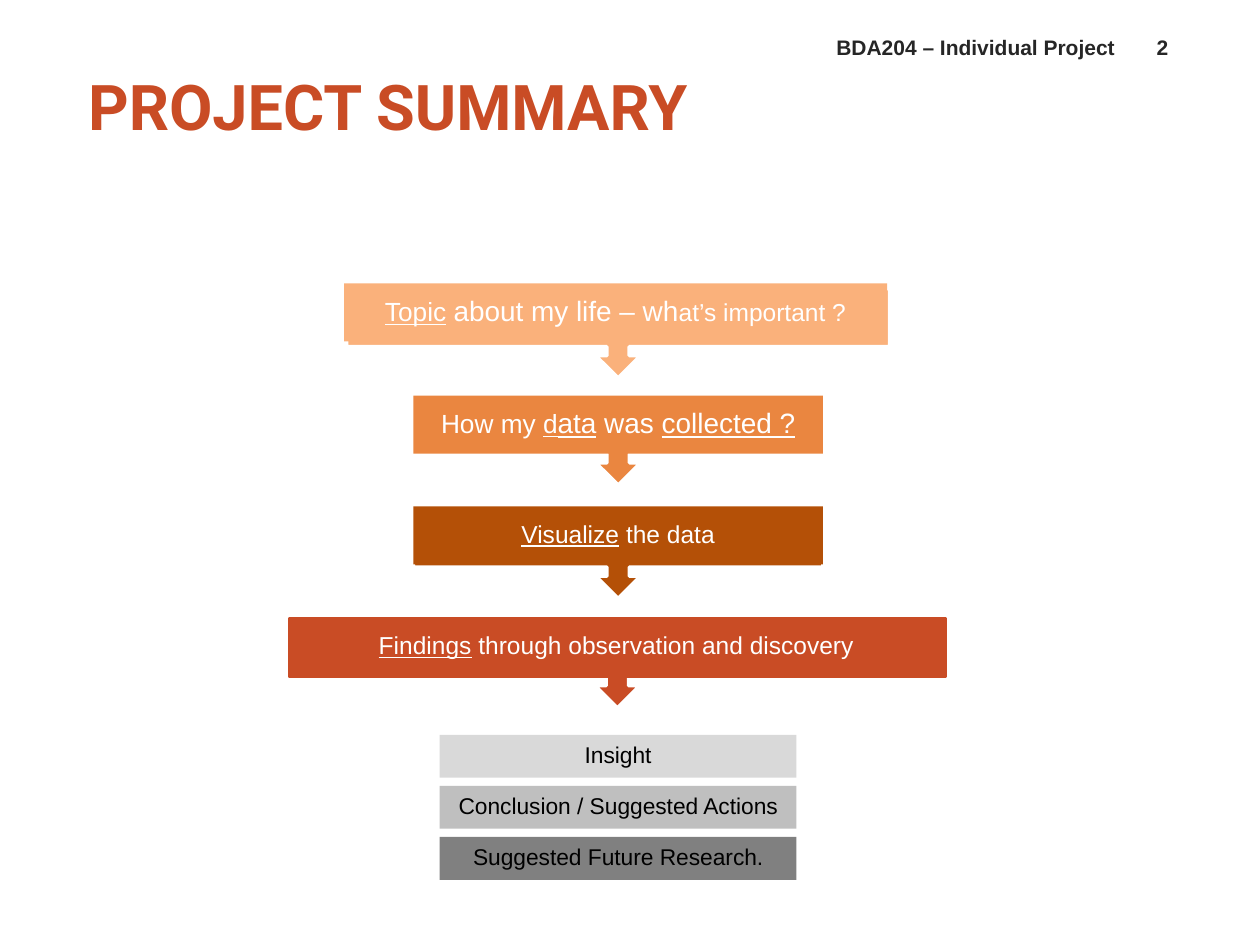
import pptx
import pptx.dml.color
import pptx.enum.shapes
import pptx.enum.text
import pptx.util

Pt = pptx.util.Pt
SHAPE = pptx.enum.shapes.MSO_SHAPE
ALIGN = pptx.enum.text.PP_ALIGN
ANCHOR = pptx.enum.text.MSO_ANCHOR
COLORS = {
    "peach": "FAB17B", "orange": "EA8640", "brown": "B45007", "rust": "C94C25",
    "light": "D9D9D9", "silver": "BFBFBF", "gray": "808080",
    "white": "FFFFFF", "black": "000000", "ink": "262626",
}


def color(name):
    return pptx.dml.color.RGBColor.from_string(COLORS[name])


def write(box, spans, fill="white", font="Arial", bold=False, align=ALIGN.CENTER,
          anchor=ANCHOR.MIDDLE, inset=(7.2, 3.6), spacing=None):
    frame = box.text_frame
    frame.word_wrap = True
    frame.auto_size = pptx.enum.text.MSO_AUTO_SIZE.NONE
    frame.vertical_anchor = anchor
    frame.margin_left = frame.margin_right = Pt(inset[0])
    frame.margin_top = frame.margin_bottom = Pt(inset[1])
    para = frame.paragraphs[0]
    para.alignment = align
    para.line_spacing = spacing
    for text, size, underline in spans:
        span = para.add_run()
        span.text = text
        span.font.name = font
        span.font.size = Pt(size)
        span.font.bold = bold
        span.font.underline = underline
        span.font.color.rgb = color(fill)
    return para


def draw(kind, left, top, width, height, fill, line=None, weight=2):
    shape = page.shapes.add_shape(kind, Pt(left), Pt(top), Pt(width), Pt(height))
    shape.shadow.inherit = False
    shape.fill.solid()
    shape.fill.fore_color.rgb = color(fill)
    if line:
        shape.line.color.rgb = color(line)
        shape.line.width = Pt(weight)
    else:
        shape.line.fill.background()
    return shape


deck = pptx.Presentation()
deck.slide_width = Pt(720)
deck.slide_height = Pt(540)
page = deck.slides.add_slide(deck.slide_layouts[5])

title = page.shapes.title
title.left, title.top, title.width, title.height = Pt(36), Pt(28.8), Pt(383.8), Pt(62.6)
para = write(title, [("PROJECT SUMMARY", 36, False)], fill="rust", font="Roboto",
             bold=True, align=ALIGN.LEFT, inset=(0, 3.6))
properties = para._p.get_or_add_pPr()
properties.set("marL", str(Pt(14.4)))
properties.set("indent", "0")

for text, left, width, align in [
    ("BDA204 – Individual Project", 450, 194.4, ALIGN.RIGHT),
    ("2", 644.4, 39.6, ALIGN.CENTER),
]:
    header = page.shapes.add_textbox(Pt(left), Pt(13.7), Pt(width), Pt(23.8))
    write(header, [(text, 12, False)], fill="ink", bold=True, align=align,
          anchor=ANCHOR.BOTTOM)

steps = [
    ("peach", 198, 164.9, 196.6, 162, 310.3,
     [("Topic", 15, True), (" ", 15, False), ("about my life – wh", 16, False),
      ("at’s important ?", 14, False)]),
    ("orange", 236.2, 226.1, 236.2, 226.1, 234,
     [("How my ", 15, False), ("d", 15, True), ("ata", 16, True),
      (" was ", 16, False), ("collected ?", 16, True)]),
    ("brown", 236.2, 290.9, 236.2, 289.4, 234,
     [("Visualize", 14, True), (" the data", 14, False)]),
    ("rust", 165.6, 353.5, 165.6, 353.5, 374.4, []),
]
for fill, arrow_left, arrow_top, left, top, width, spans in steps:
    arrow = draw(SHAPE.UP_ARROW_CALLOUT, arrow_left, arrow_top, width, 51.1, fill, "white")
    arrow.rotation = 180
    step = draw(SHAPE.RECTANGLE, left, top, width, 33.1, fill,
                None if spans else fill)
    write(step, spans, inset=(8.6, 8.6), spacing=0.9)

findings = draw(SHAPE.RECTANGLE, 174.2, 360.7, 360, 18, "rust", "rust", 0.75)
write(findings, [("Findings", 14, True),
                 (" through observation and discovery ", 14, False)],
      inset=(8.6, 8.6), spacing=0.9)

results = [("Insight", "light"), ("Conclusion / Suggested Actions", "silver"),
           ("Suggested Future Research.", "gray")]
for index, (text, fill) in enumerate(results):
    result = draw(SHAPE.RECTANGLE, 251.3, 419.9 + 29.2 * index, 203.8, 24.5, fill)
    write(result, [(text, 13, False)], fill="black", inset=(7.2, 7.2), spacing=0.9)

deck.save("out.pptx")
